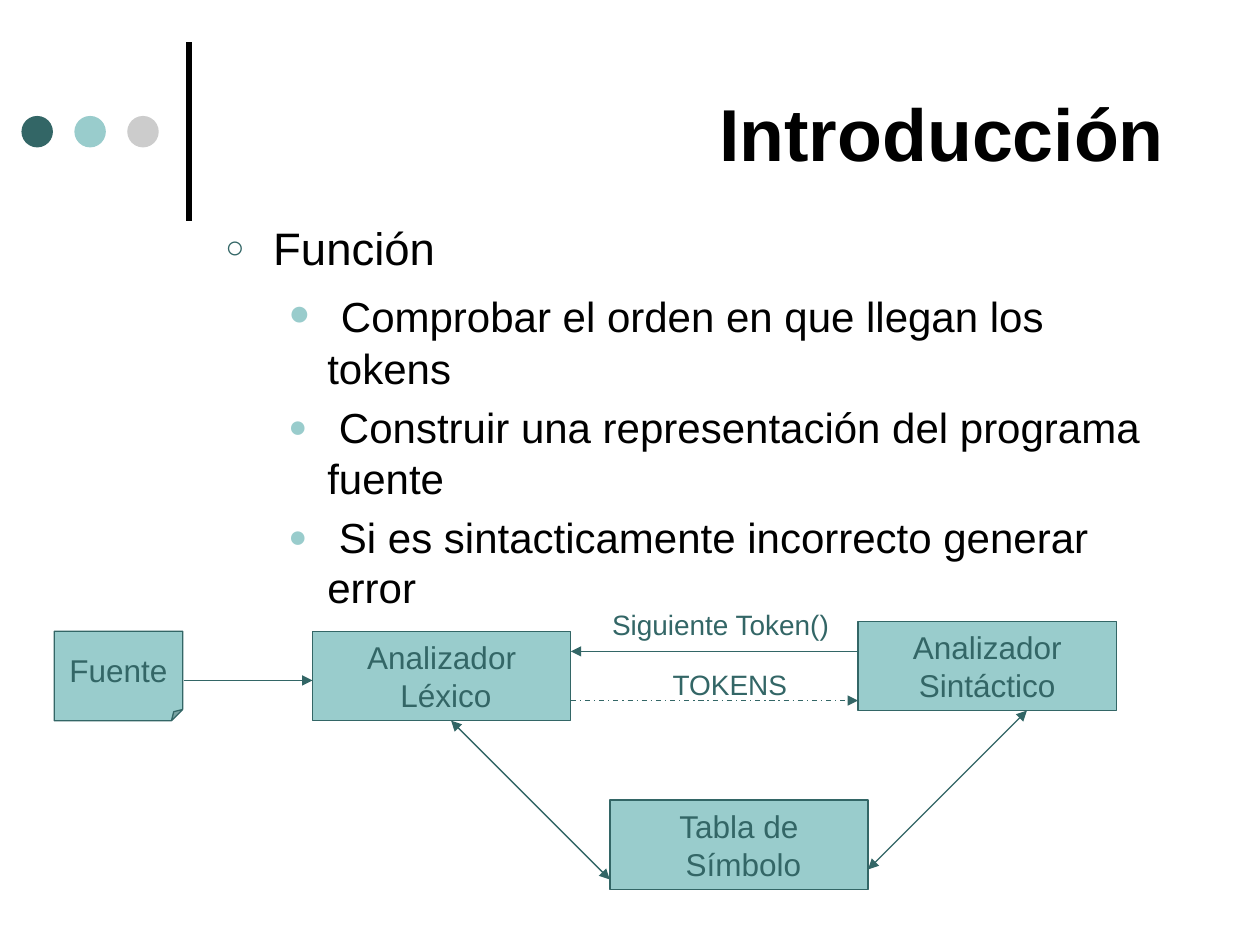
from lxml.etree import SubElement
from pptx import Presentation
from pptx.dml.color import RGBColor
from pptx.enum.dml import MSO_LINE as Dash
from pptx.enum.shapes import MSO_CONNECTOR as Conn, MSO_SHAPE as Kind
from pptx.enum.text import MSO_ANCHOR as Anchor, MSO_AUTO_SIZE as Fit, PP_ALIGN as Align
from pptx.oxml.ns import qn
from pptx.util import Inches, Pt

INK = {"black": "000000", "dark": "336666", "teal": "99CCCC", "gray": "CCCCCC"}
FONT = "Arial"
BOX_W, BOX_H = 2.05, 0.71


def color(name):
    """Return the named colour."""
    return RGBColor.from_string(INK[name])


def place(shape, left, top, width, height):
    """Set position and size in inches."""
    shape.left, shape.top = Inches(left), Inches(top)
    shape.width, shape.height = Inches(width), Inches(height)


def add_run(para, text, size, ink, bold=False):
    """Add one formatted run."""
    run = para.add_run()
    run.text = text
    font = run.font
    font.name, font.size, font.bold = FONT, Pt(size), bold
    font.color.rgb = color(ink)


def add_lines(frame, lines, size, ink, align):
    """Write one paragraph per line of text."""
    for i, text in enumerate(lines):
        para = frame.add_paragraph() if i else frame.paragraphs[0]
        para.alignment = align
        add_run(para, text, size, ink)


def add_shape(slide, kind, at, fill, edge=None):
    """Add a flat preset shape."""
    shape = slide.shapes.add_shape(kind, *map(Inches, at))
    shape.shadow.inherit = False
    shape.fill.solid()
    shape.fill.fore_color.rgb = color(fill)
    if edge:
        shape.line.color.rgb = color(edge)
        shape.line.width = Pt(0.75)
    else:
        shape.line.fill.background()
    return shape


def add_node(slide, left, top, lines, width=BOX_W, kind=Kind.RECTANGLE):
    """Add a labelled box of the diagram."""
    node = add_shape(slide, kind, (left, top, width, BOX_H), "teal", "dark")
    if kind == Kind.FOLDED_CORNER:
        guides = node._element.spPr.find(qn("a:prstGeom")).get_or_add_avLst()
        SubElement(guides, qn("a:gd"), name="adj", fmla="val 12500")
    frame = node.text_frame
    frame.word_wrap = False
    frame.vertical_anchor = Anchor.MIDDLE
    add_lines(frame, lines, 18, "dark", Align.CENTER)


def add_label(slide, at, text):
    """Add a caption over an arrow."""
    frame = slide.shapes.add_textbox(*map(Inches, at)).text_frame
    frame.word_wrap = False
    frame.auto_size = Fit.SHAPE_TO_FIT_TEXT
    add_lines(frame, [text], 16, "dark", Align.LEFT)


def add_line(slide, start, end, ink="dark", width=0.75, ends=(), dash=None):
    """Add a line with arrowheads at the given ends."""
    line = slide.shapes.add_connector(Conn.STRAIGHT, *map(Inches, start + end))
    line.line.color.rgb = color(ink)
    line.line.width = Pt(width)
    if dash:
        line.line.dash_style = dash
    props = line._element.spPr
    for tag in ends:
        SubElement(props.find(qn("a:ln")), qn(f"a:{tag}"), type="triangle")
    SubElement(props, qn("a:effectLst"))


def add_bullet(para, char, ink, size, left, hang):
    """Give a paragraph a hanging bullet."""
    props = para._p.get_or_add_pPr()
    props.set("marL", str(Inches(left)))
    props.set("indent", str(-Inches(hang)))
    tint = SubElement(props, qn("a:buClr"))
    SubElement(tint, qn("a:srgbClr"), val=INK[ink])
    SubElement(props, qn("a:buSzPct"), val=str(size * 1000))
    SubElement(props, qn("a:buFont"), typeface=FONT)
    SubElement(props, qn("a:buChar"), char=char)


def add_title(slide):
    """Fill the title placeholder."""
    title = slide.shapes.title
    place(title, 1.67, 0.21, 7.67, 1.67)
    frame = title.text_frame
    frame.auto_size = Fit.NONE
    frame.vertical_anchor = Anchor.MIDDLE
    para = frame.paragraphs[0]
    para.alignment = Align.RIGHT
    add_run(para, "Introducción", 42, "black", True)


def add_body(slide):
    """Add the bulleted text."""
    box = slide.shapes.add_textbox(*map(Inches, (1.69, 1.7, 7.67, 3.48)))
    frame = box.text_frame
    frame.word_wrap = True
    head = frame.paragraphs[0]
    head.space_before = Pt(5)
    add_bullet(head, "○", "dark", 70, 0.38, 0.38)
    add_run(head, "Función", 26, "black")
    items = [
        [(" ", 28), ("Comprobar el orden en que llegan los tokens", 24)],
        [(" Construir una representación del programa fuente", 24)],
        [(" Si es sintacticamente incorrecto generar error", 24)],
    ]
    for runs in items:
        para = frame.add_paragraph()
        para.level = 1
        para.space_before = Pt(5)
        add_bullet(para, "●", "teal", 75, 0.81, 0.31)
        for text, size in runs:
            add_run(para, text, size, "black")


def add_decor(slide):
    """Add the upright bar and the three dots."""
    add_line(slide, (1.5, 1.75), (1.5, 0.33), "black", 3)
    for i, ink in enumerate(("dark", "teal", "gray")):
        add_shape(slide, Kind.OVAL, (0.17 + 0.42 * i, 0.92, 0.25, 0.25), ink)


def add_flow(slide):
    """Add the diagram of the analyzers."""
    add_node(slide, 0.43, 5.01, ["Fuente"], 1.02, Kind.FOLDED_CORNER)
    add_node(slide, 2.48, 5.01, ["Analizador", " Léxico"])
    add_node(slide, 4.84, 6.35, ["Tabla de", " Símbolo"])
    add_node(slide, 6.81, 4.93, ["Analizador", "Sintáctico"])
    tail, both = ("tailEnd",), ("headEnd", "tailEnd")
    add_line(slide, (4.53, 5.56), (6.81, 5.56), ends=tail, dash=Dash.DASH_DOT)
    add_line(slide, (6.81, 5.17), (4.53, 5.17), ends=tail)
    add_label(slide, (5.24, 5.25, 1.11, 0.37), "TOKENS")
    add_label(slide, (4.76, 4.77, 1.95, 0.37), "Siguiente Token()")
    add_line(slide, (3.58, 5.72), (4.84, 6.98), ends=both)
    add_line(slide, (8.15, 5.64), (6.89, 6.9), ends=both)
    add_line(slide, (1.46, 5.4), (2.48, 5.4), ends=tail)


def main():
    """Build and save the slide."""
    deck = Presentation()
    deck.slide_width, deck.slide_height = Inches(10), Inches(7.5)
    slide = deck.slides.add_slide(deck.slide_layouts[5])
    add_decor(slide)
    add_title(slide)
    add_body(slide)
    add_flow(slide)
    deck.save("out.pptx")


main()
